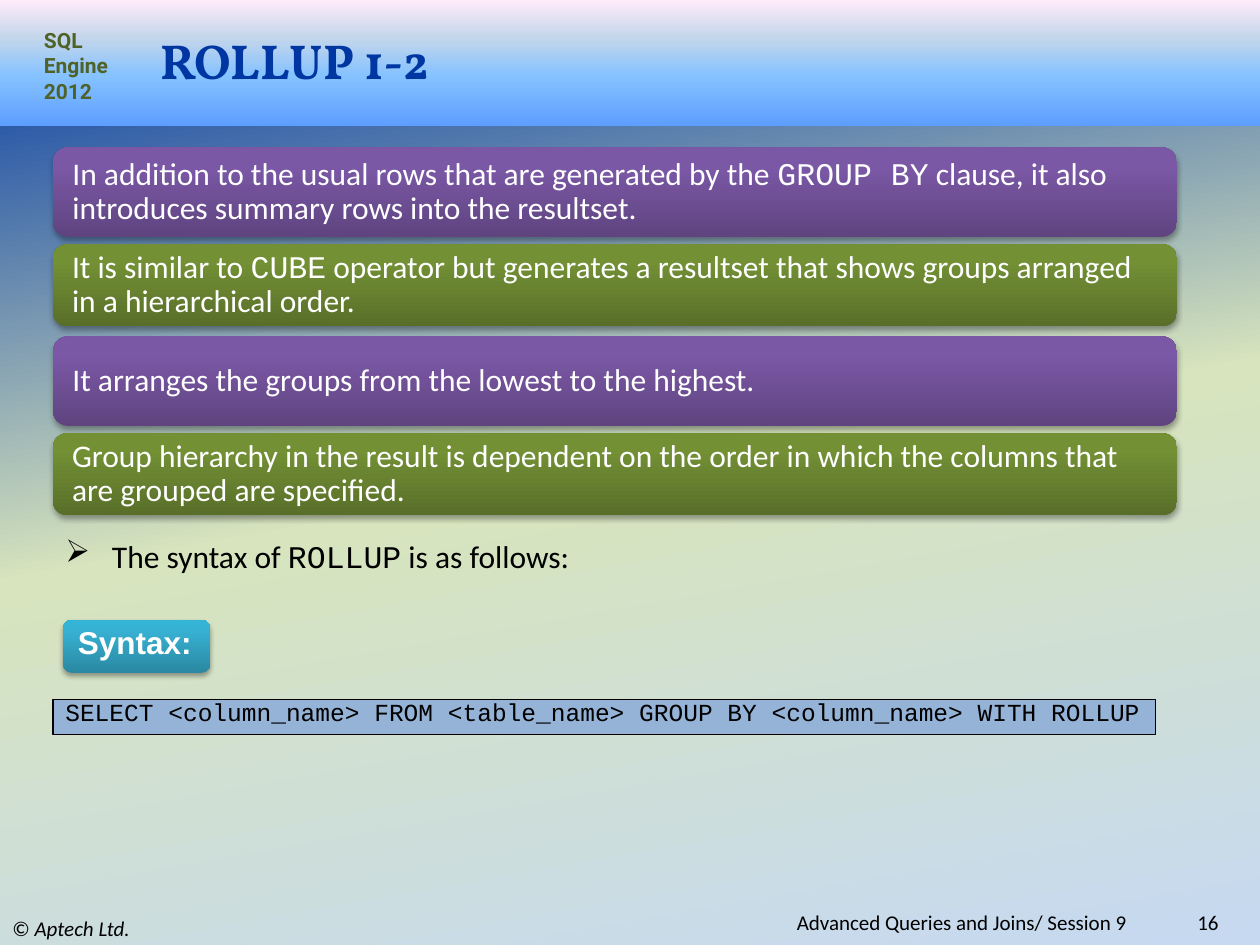
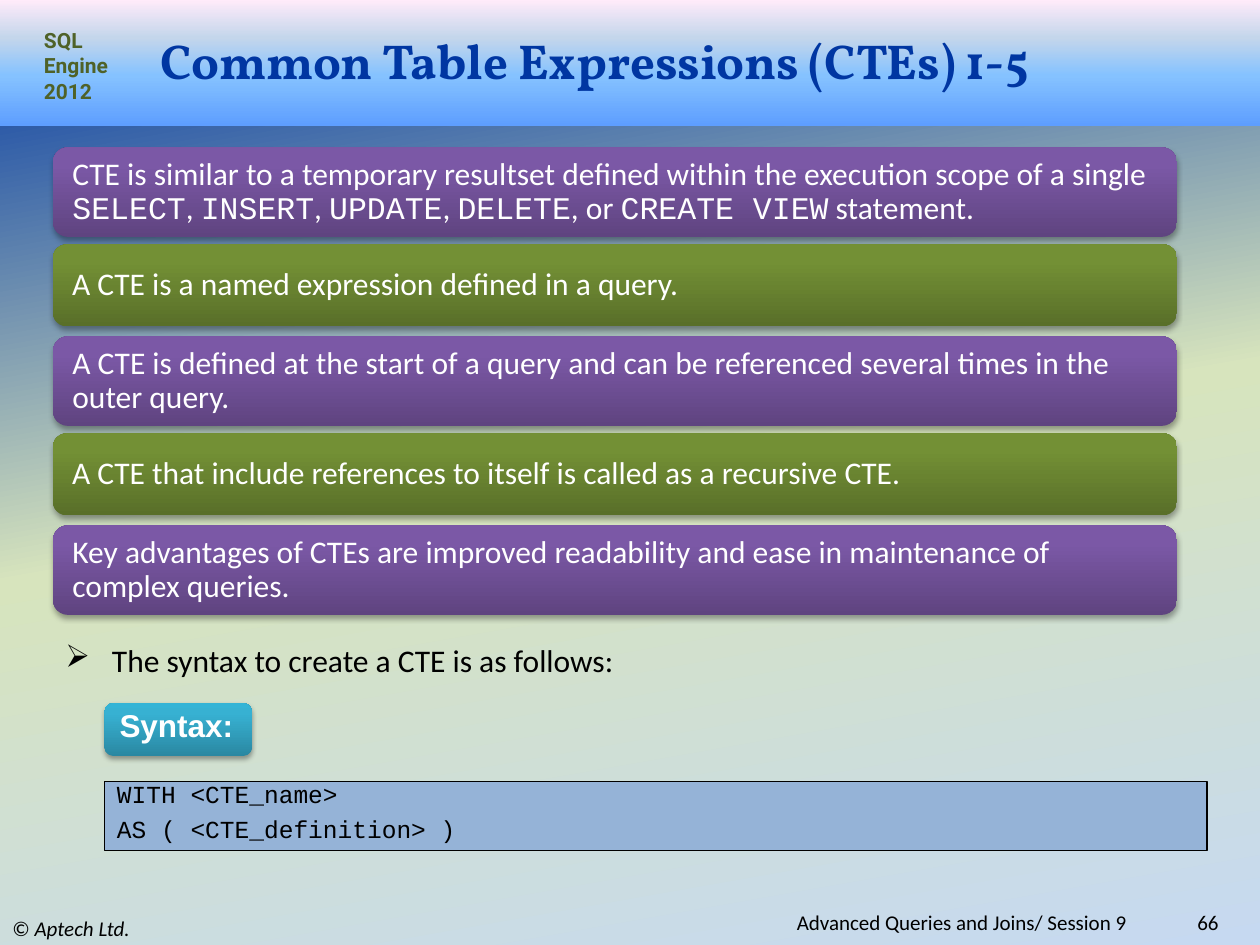
from typing import Any, NamedTuple

from lxml import etree
from pptx import Presentation
from pptx import util as u
from pptx.dml.color import RGBColor
from pptx.enum import shapes, text
from pptx.oxml.ns import qn

COLORS = {
    "title": "0036A2",
    "label": "4F6228",
    "ink": "000000",
    "light": "FFFFFF",
    "code": "95B3D7",
}


class Gradient(NamedTuple):
    stops: tuple[tuple[int, str], ...]
    angle: int = 90  # counter-clockwise: first stop at the bottom


BACKDROP = Gradient(((0, "0036A2"), (50, "D7E4BD"), (100, "C6D9F1")), 280)
BAND = Gradient(((0, "5E9EFF"), (40, "85C2FF"), (70, "C4D6EB"), (100, "FFEBFA")))
PURPLE = Gradient(((0, "5F4480"), (80, "7B58A6"), (100, "7C57A8")))
GREEN = Gradient(((0, "596F29"), (80, "739035"), (100, "749334")))
TEAL = Gradient(((0, "2A88A2"), (80, "37B1D2"), (100, "34B4D6")))


class Box(NamedTuple):
    left: float
    top: float
    width: float
    height: float

    def lengths(self) -> list[u.Length]:
        return [u.Inches(v) for v in self]


class Topic(NamedTuple):
    """One slide; backticks in its texts enclose inline code."""
    title: str
    number: str
    points: tuple[str, ...]
    lead: str
    lead_top: float
    syntax_at: tuple[float, float]
    code: tuple[str, ...]
    code_box: Box


TOPICS = (
    Topic(
        "ROLLUP 1-2", "16",
        ("In addition to the usual rows that are generated by the `GROUP BY` clause, "
         "it also introduces summary rows into the resultset.",
         "It is similar to `CUBE` operator but generates a resultset that shows "
         "groups arranged in a hierarchical order.",
         "It arranges the groups from the lowest to the highest.",
         "Group hierarchy in the result is dependent on the order in which the "
         "columns that are grouped are specified."),
        "The syntax of `ROLLUP` is as follows:", 4.21, (0.5, 4.92),
        ("SELECT <column_name> FROM <table_name> GROUP BY <column_name> WITH ROLLUP",),
        Box(0.42, 5.55, 8.75, 0.28),
    ),
    Topic(
        "Common Table Expressions (CTEs) 1-5", "66",
        ("CTE is similar to a temporary resultset defined within the execution scope "
         "of a single `SELECT`, `INSERT`, `UPDATE`, `DELETE`, or `CREATE VIEW` statement.",
         "A CTE is a named expression defined in a query.",
         "A CTE is defined at the start of a query and can be referenced several "
         "times in the outer query.",
         "A CTE that include references to itself is called as a recursive CTE.",
         "Key advantages of CTEs are improved readability and ease in maintenance "
         "of complex queries."),
        "The syntax to create a CTE is as follows:", 5.04, (0.83, 5.58),
        ("WITH <CTE_name>", "AS ( <CTE_definition> )"),
        Box(0.83, 6.2, 8.75, 0.55),
    ),
)


def set_gradient(fill: Any, element: Any, gradient: Gradient) -> None:
    fill.gradient()
    fill.gradient_angle = gradient.angle
    stops = next(element.iter(qn("a:gsLst")))
    stops.clear()
    for position, color in gradient.stops:
        stop = etree.SubElement(stops, qn("a:gs"), pos=str(position * 1000))
        etree.SubElement(stop, qn("a:srgbClr"), val=color)


def add_shadow(sp: Any) -> None:
    effects = sp.element.spPr.find(qn("a:effectLst"))
    shadow = etree.SubElement(effects, qn("a:outerShdw"), blurRad=str(u.Pt(3.1)),
                              dist=str(u.Pt(1.8)), dir="5400000", rotWithShape="0")
    color = etree.SubElement(shadow, qn("a:srgbClr"), val=COLORS["ink"])
    etree.SubElement(color, qn("a:alpha"), val="35000")


def add_bullet(p: Any, char: str, indent: float) -> None:
    properties = p._p.get_or_add_pPr()
    properties.set("marL", str(u.Inches(indent)))
    properties.set("indent", str(-u.Inches(indent)))
    etree.SubElement(properties, qn("a:buChar"), char=char)


def write(sp: Any, *lines: str, size: float = 18, font: str = "Calibri",
          color: str = "ink", bold: bool = False, italic_from: int | None = None,
          align: Any = text.PP_ALIGN.LEFT, anchor: Any = text.MSO_ANCHOR.MIDDLE,
          spacing: float | None = None, gap: float = 0, bullet: str = "",
          side: float = 0.1) -> None:
    """Fill a shape; backticks switch to code, italic_from splits off an italic tail."""
    tf = sp.text_frame
    tf.word_wrap = True
    tf.auto_size = text.MSO_AUTO_SIZE.NONE
    tf.vertical_anchor = anchor
    tf.margin_left = tf.margin_right = u.Inches(side)
    tf.margin_top = tf.margin_bottom = u.Inches(0.05)
    for i, line in enumerate(lines):
        p = tf.add_paragraph() if i else tf.paragraphs[0]
        if bullet:
            add_bullet(p, bullet, 0.37)
        p.alignment = align
        if spacing:
            p.line_spacing = spacing
        if i and gap:
            p.space_before = u.Pt(gap)
        if italic_from is None:
            parts = [(part, "Courier New" if n % 2 else font, False)
                     for n, part in enumerate(line.split("`"))]
        else:
            parts = [(line[:italic_from], font, False), (line[italic_from:], font, True)]
        for part, face, italic in parts:
            r = p.add_run()
            r.text = part
            r.font.name, r.font.size = face, u.Pt(size)
            r.font.bold, r.font.italic = bold, italic
            r.font.color.rgb = RGBColor.from_string(COLORS[color])


def add_text(s: Any, box: Box, line: str, **style: Any) -> None:
    write(s.shapes.add_textbox(*box.lengths()), line, **style)


def add_block(s: Any, box: Box, fill: Gradient | str, rounded: bool = False) -> Any:
    """Add a borderless rectangle; rounded ones cast a shadow."""
    kind = shapes.MSO_SHAPE.ROUNDED_RECTANGLE if rounded else shapes.MSO_SHAPE.RECTANGLE
    sp = s.shapes.add_shape(kind, *box.lengths())
    sp.shadow.inherit = False
    sp.line.fill.background()
    if isinstance(fill, Gradient):
        set_gradient(sp.fill, sp.element, fill)
    else:
        sp.fill.solid()
        sp.fill.fore_color.rgb = RGBColor.from_string(COLORS[fill])
    if rounded:
        add_shadow(sp)
    return sp


def add_frame(s: Any, topic: Topic) -> None:
    """Add the band, title and footers that every slide has."""
    band = add_block(s, Box(0, 0, 10, 1), BAND)
    title = s.shapes.title
    band.element.addnext(title.element)
    title.left, title.top, title.width, title.height = Box(1.17, 0.25, 8.33, 0.45).lengths()
    write(title, topic.title, size=28, font="Vollkorn", color="title", bold=True)
    add_text(s, Box(0.25, 0.17, 0.75, 0.71), "SQL Engine 2012", size=12, font="Roboto",
             color="label", bold=True, anchor=text.MSO_ANCHOR.TOP)
    add_text(s, Box(0, 7.23, 3.33, 0.27), "© Aptech Ltd.", size=12, italic_from=2)
    for box, line in ((Box(8.92, 7.23, 0.85, 0.18), topic.number),
                      (Box(2.5, 7.23, 6.58, 0.18), "Advanced Queries and Joins/ Session 9 ")):
        add_text(s, box, line, size=12, align=text.PP_ALIGN.RIGHT)


def add_points(s: Any, points: tuple[str, ...]) -> None:
    """Stack bars in pairs of a taller purple and a lower green one."""
    for i, point in enumerate(points):
        pair, second = divmod(i, 2)
        box = Box(0.42, 1.17 + 1.5 * pair + 0.77 * second, 8.92, 0.65 if second else 0.71)
        bar = add_block(s, box, GREEN if second else PURPLE, rounded=True)
        write(bar, point, color="light", spacing=0.9, side=0.12)


def add_syntax(s: Any, topic: Topic) -> None:
    add_text(s, Box(0.42, topic.lead_top, 9.17, 0.4), topic.lead, bullet="➢",
             anchor=text.MSO_ANCHOR.TOP)
    tag = add_block(s, Box(*topic.syntax_at, 1.17, 0.42), TEAL, rounded=True)
    write(tag, "Syntax:", font="Arial", color="light", bold=True, spacing=0.7)
    code = add_block(s, topic.code_box, "code")
    code.line.color.rgb = RGBColor.from_string(COLORS["ink"])
    code.line.width = u.Pt(0.75)
    write(code, *topic.code, size=14, font="Courier New", spacing=0.7, gap=8,
          anchor=text.MSO_ANCHOR.TOP)


def main() -> None:
    prs = Presentation()
    prs.slide_width, prs.slide_height = u.Inches(10), u.Inches(7.5)
    master = prs.slide_master
    set_gradient(master.background.fill, master.element, BACKDROP)
    for topic in TOPICS:
        s = prs.slides.add_slide(prs.slide_layouts.get_by_name("Title Only"))
        add_frame(s, topic)
        add_points(s, topic.points)
        add_syntax(s, topic)
    prs.save("out.pptx")


if __name__ == "__main__":
    main()
